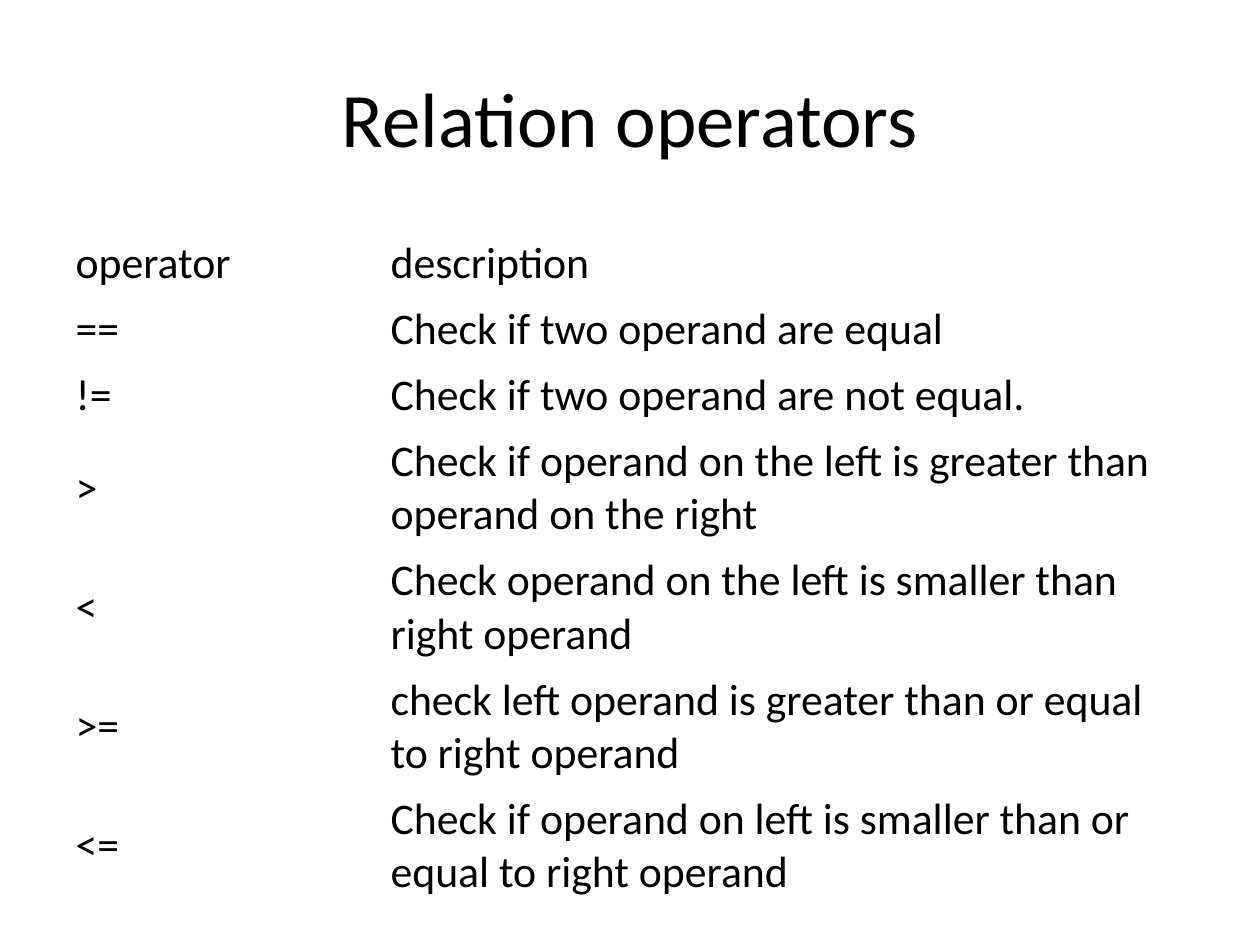
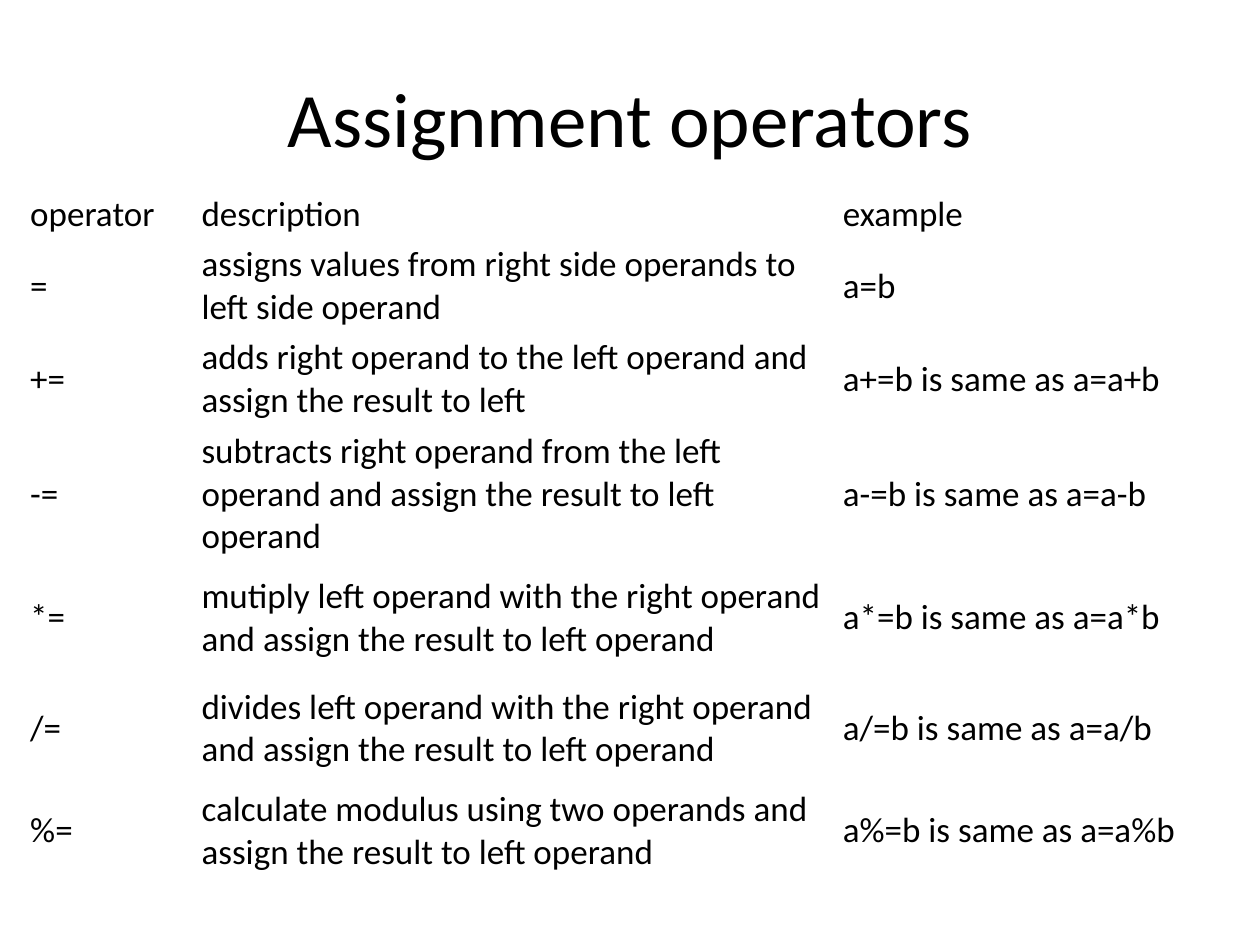
from pptx import Presentation
from pptx import util as u
from pptx.dml import color
from pptx.enum import text

WIDE, HIGH = 10, 7.5
INK, PAPER = "000000", "FFFFFF"
FONT = "Calibri"
PLAIN = "{2D5ABB26-0587-4C30-8999-92F81FD0307C}"  # table style without lines


def rgb(code):
    return color.RGBColor.from_string(code)


def write(frame, words, size=20, ink=INK, align=text.PP_ALIGN.LEFT):
    par = frame.paragraphs[0]
    par.alignment = align
    run = par.add_run()
    run.text = words
    run.font.name, run.font.size = FONT, u.Pt(size)
    run.font.color.rgb = rgb(ink)


class Deck:
    def __init__(self):
        self.pres = Presentation()
        self.pres.slide_width = u.Inches(WIDE)
        self.pres.slide_height = u.Inches(HIGH)
        self.slide = None

    def page(self, title):
        """Start a slide with a centred title."""
        self.slide = self.pres.slides.add_slide(self.pres.slide_layouts[5])
        fill = self.slide.background.fill
        fill.solid()
        fill.fore_color.rgb = rgb(PAPER)
        head = self.slide.shapes.title
        head.left, head.top = u.Inches(0.05 * WIDE), u.Inches(0.04 * HIGH)
        head.width, head.height = u.Inches(0.9 * WIDE), u.Inches(HIGH / 6)
        head.text_frame.vertical_anchor = text.MSO_ANCHOR.MIDDLE
        write(head.text_frame, title, size=44, align=text.PP_ALIGN.CENTER)

    def table(self, left, top, cols, rows, data, size, pad):
        """Plain table; pad is the side and the top margin of a cell."""
        shape = self.slide.shapes.add_table(
            len(rows), len(cols), u.Inches(left), u.Inches(top),
            u.Inches(sum(cols)), u.Inches(sum(rows)))
        grid = shape.table
        grid.first_row = grid.horz_banding = False
        grid._tbl.tblPr[0].text = PLAIN
        for col, width in zip(grid.columns, cols):
            col.width = u.Inches(width)
        for row, height, line in zip(grid.rows, rows, data):
            row.height = u.Inches(height)
            for cell, words in zip(row.cells, line):
                cell.fill.background()
                cell.vertical_anchor = text.MSO_ANCHOR.MIDDLE
                cell.margin_left = cell.margin_right = u.Inches(pad[0])
                cell.margin_top = cell.margin_bottom = u.Inches(pad[1])
                write(cell.text_frame, words, size=size)


deck = Deck()

# Relation operators: three rows of one line, four of two lines
deck.page("Relation operators")
deck.table(0.5, 1.83, [2.5, 6.5], [0.52] * 3 + [0.94] * 4, [
    ("operator", "description"),
    ("==", "Check if two operand are equal"),
    ("!=", "Check if two operand are not equal."),
    (">", "Check if operand on the left is greater than operand on the right"),
    ("<", "Check operand on the left is smaller than right operand"),
    (">=", "check left operand is greater than or equal to right operand"),
    ("<=", "Check if operand on left is smaller than or equal to right operand"),
], size=25, pad=(0.1, 0.05))

# Assignment operators: every example spells out the short form
tasks = [
    ("+", "adds right operand to the left operand and assign the result to left"),
    ("-", "subtracts right operand from the left operand and assign the result "
          "to left operand"),
    ("*", "mutiply left operand with the right operand and assign the result "
          "to left operand"),
    ("/", "divides left operand with the right operand and assign the result "
          "to left operand"),
    ("%", "calculate modulus using two operands and assign the result "
          "to left operand"),
]
deck.page("Assignment operators")
deck.table(0.17, 1.5, [1.36, 5.09, 3.22],
           [0.4, 0.74, 0.74, 1.08, 0.88, 0.88, 0.74], [
    ("operator", "description", "example"),
    ("=", "assigns values from right side operands to left side operand", "a=b"),
] + [(f"{op}=", does, f"a{op}=b is same as a=a{op}b") for op, does in tasks],
    size=20, pad=(0.07, 0.03))

deck.pres.save("out.pptx")
